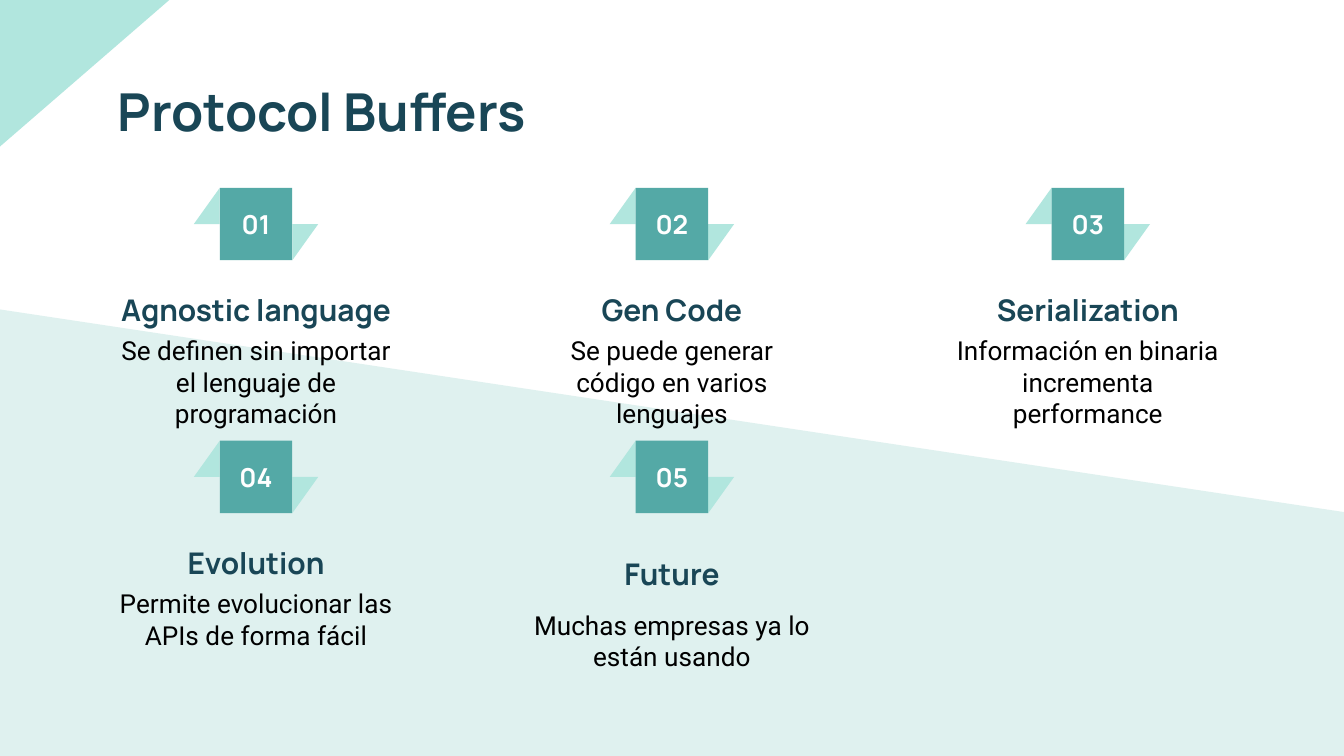
from pptx import Presentation
from pptx.dml.color import RGBColor
from pptx.enum.shapes import MSO_SHAPE
from pptx.enum.text import MSO_ANCHOR, PP_ALIGN
from pptx.util import Cm, Pt

TITLE = "Protocol Buffers"
# heading, body, extra drop of heading and of body (cm)
FEATURES = [
    ("Agnostic language", "Se definen sin importar el lenguaje de programación", 0, 0),
    ("Gen Code", "Se puede generar código en varios lenguajes", 0, 0),
    ("Serialization", "Información en binaria incrementa performance", 0, 0),
    ("Evolution", "Permite evolucionar las APIs de forma fácil", 0, 0),
    ("Future", "Muchas empresas ya lo están usando", 0.2, 0.41),
]
COLORS = {"pale": "DFF1EF", "mint": "B1E6DE", "teal": "54A9A6",
          "navy": "194656", "white": "FFFFFF", "black": "000000"}
STYLES = {
    "title": {"name": "Manrope", "size": Pt(28), "bold": True, "color": "navy"},
    "number": {"name": "Manrope", "size": Pt(14), "bold": True, "color": "white"},
    "heading": {"name": "Manrope", "size": Pt(16), "bold": True, "color": "navy"},
    "body": {"name": "Roboto", "size": Pt(14), "bold": False, "color": "black"},
}
# all lengths below in cm
SLIDE_WIDTH, SLIDE_HEIGHT = 25.4, 14.29
COLUMNS = 3
FIRST_CENTER, COLUMN_PITCH = 4.84, 7.86
FIRST_TOP, ROW_PITCH = 3.55, 4.78
SQUARE, FOLD_WIDTH = 1.37, 0.49
TEXT_WIDTH, HEADING_HEIGHT, BODY_HEIGHT = 5.74, 1.02, 1.73
HEADING_DROP, BODY_DROP = 1.72, 2.53
INSET = 0.25


def add_filled(slide, kind, box, color, flipped=False, rotation=0):
    shape = slide.shapes.add_shape(kind, *map(Cm, box))
    shape.shadow.inherit = False
    shape.fill.solid()
    shape.fill.fore_color.rgb = RGBColor.from_string(COLORS[color])
    shape.line.fill.background()
    shape.rotation = rotation
    if flipped:
        shape.element.spPr.get_or_add_xfrm().set("flipH", "1")
    return shape


def write(shape, text, style, align=PP_ALIGN.CENTER, anchor=MSO_ANCHOR.TOP, side=INSET):
    frame_format = {"word_wrap": True, "vertical_anchor": anchor,
                    "margin_left": Cm(side), "margin_right": Cm(side),
                    "margin_top": Cm(INSET), "margin_bottom": Cm(INSET)}
    for name, value in frame_format.items():
        setattr(shape.text_frame, name, value)
    paragraph = shape.text_frame.paragraphs[0]
    paragraph.alignment = align
    run = paragraph.add_run()
    run.text = text
    for name, value in STYLES[style].items():
        if name == "color":
            run.font.color.rgb = RGBColor.from_string(COLORS[value])
        else:
            setattr(run.font, name, value)


def add_text(slide, box, text, style, **options):
    write(slide.shapes.add_textbox(*map(Cm, box)), text, style, **options)


def add_background(slide):
    slope_top, slope_bottom = 5.85, 9.68
    add_filled(slide, MSO_SHAPE.RECTANGLE,
               (0, slope_bottom, SLIDE_WIDTH, SLIDE_HEIGHT - slope_bottom), "pale")
    add_filled(slide, MSO_SHAPE.RIGHT_TRIANGLE,
               (0, slope_top, SLIDE_WIDTH, slope_bottom - slope_top), "pale")
    add_filled(slide, MSO_SHAPE.RIGHT_TRIANGLE, (0, 0, 3.2, 2.77), "mint", True, 180)


def add_ribbon(slide, center, top, number):
    """Numbered square with a folded triangle on either side."""
    left, half = center - SQUARE / 2, SQUARE / 2
    folds = [(left - FOLD_WIDTH, top, 0), (left + SQUARE, top + half, 180)]
    for fold_left, fold_top, rotation in folds:
        add_filled(slide, MSO_SHAPE.RIGHT_TRIANGLE,
                   (fold_left, fold_top, FOLD_WIDTH, half), "mint", True, rotation)
    square = add_filled(slide, MSO_SHAPE.RECTANGLE, (left, top, SQUARE, SQUARE), "teal")
    write(square, f"{number:02d}", "number", anchor=MSO_ANCHOR.MIDDLE, side=0)


def main():
    presentation = Presentation()
    presentation.slide_width, presentation.slide_height = Cm(SLIDE_WIDTH), Cm(SLIDE_HEIGHT)
    slide = presentation.slides.add_slide(presentation.slide_layouts[6])
    add_background(slide)
    add_text(slide, (1.98, 1.24, 21.46, 1.6), TITLE, "title", align=PP_ALIGN.LEFT)
    for index, (heading, body, heading_shift, body_shift) in enumerate(FEATURES):
        row, column = divmod(index, COLUMNS)
        center = FIRST_CENTER + column * COLUMN_PITCH
        top = FIRST_TOP + row * ROW_PITCH
        left = center - TEXT_WIDTH / 2
        add_ribbon(slide, center, top, index + 1)
        add_text(slide, (left, top + BODY_DROP + body_shift, TEXT_WIDTH, BODY_HEIGHT),
                 body, "body")
        add_text(slide, (left, top + HEADING_DROP + heading_shift, TEXT_WIDTH, HEADING_HEIGHT),
                 heading, "heading")
    presentation.save("out.pptx")


if __name__ == "__main__":
    main()
